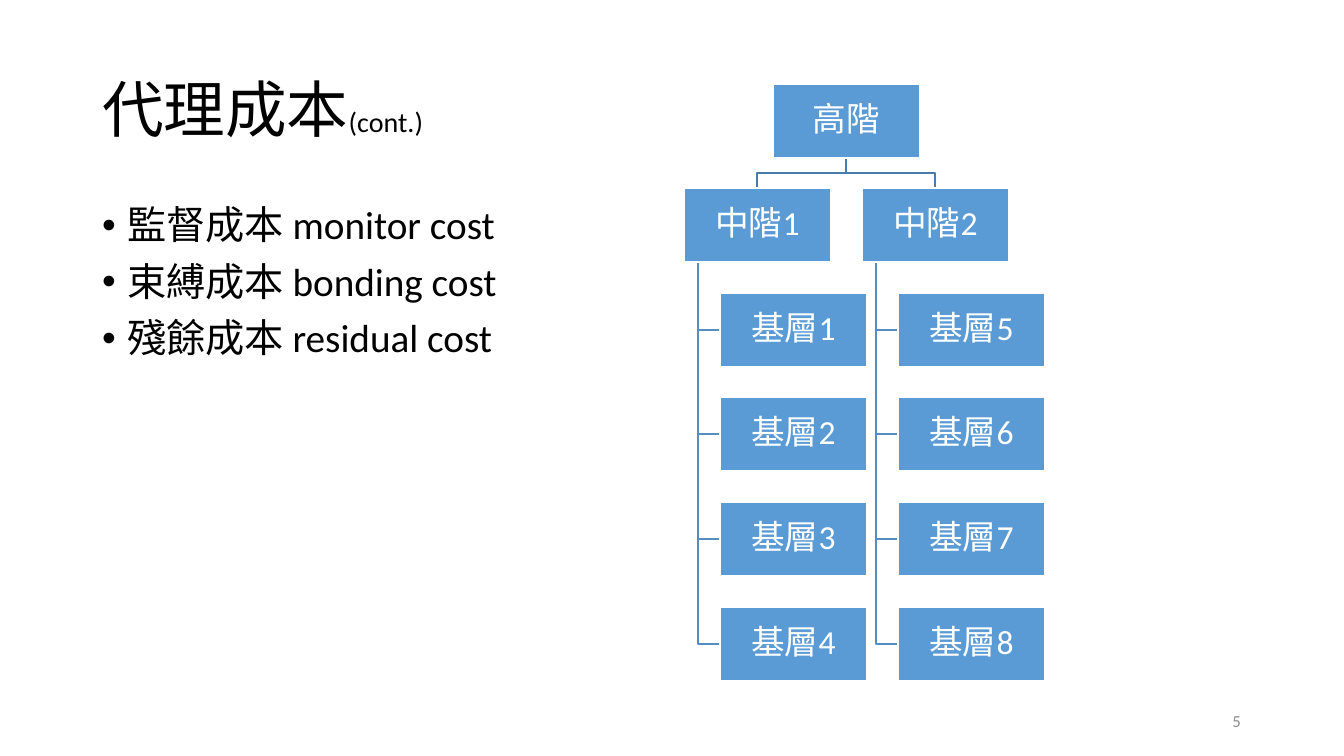
"""Build the agency cost slide with its organisation chart."""
from dataclasses import dataclass

from lxml import etree
from pptx import Presentation
from pptx.dml.color import RGBColor
from pptx.enum.lang import MSO_LANGUAGE_ID
from pptx.enum.shapes import MSO_SHAPE
from pptx.enum.text import MSO_ANCHOR, MSO_AUTO_SIZE, PP_ALIGN
from pptx.oxml.ns import qn
from pptx.slide import Slide
from pptx.text.text import TextFrame
from pptx.util import Emu, Pt

COLORS = {
    "text": "000000",
    "number": "8C8C8C",
    "box": "5B9BD5",
    "white": "FFFFFF",
    "upper_link": "497CAB",
    "lower_link": "538DC1",
}
FONT = "Calibri"
BOX_WIDTH, BOX_HEIGHT = 147, 74
MANAGER_LEFT, BRANCH_PITCH = 684, 178
TRUNK_INDENT, STAFF_INDENT = 14, 36
STAFF_PER_MANAGER = 4


@dataclass(frozen=True)
class Box:
    """A labelled position in the organisation chart."""
    label: str
    left: int
    top: int

    @property
    def center(self) -> int:
        return self.left + BOX_WIDTH // 2

    @property
    def middle(self) -> int:
        return self.top + BOX_HEIGHT // 2

    @property
    def bottom(self) -> int:
        return self.top + BOX_HEIGHT


@dataclass(frozen=True)
class Link:
    """An angled line through the given points."""
    points: tuple[tuple[int, int], ...]
    color: str


def px(length: int) -> Emu:
    """Turn pixels into EMU."""
    return Emu(round(length * 914400 / 100.8))


def rgb(name: str) -> RGBColor:
    """Look up a named colour."""
    return RGBColor.from_string(COLORS[name])


def row_top(row: int) -> int:
    """Return the top of a chart row."""
    return 84 + row * 523 // 5


def write(frame: TextFrame, lines: list[list[tuple[str, int]]], *,
          color: str = "text", align: PP_ALIGN = PP_ALIGN.LEFT,
          anchor: MSO_ANCHOR = MSO_ANCHOR.MIDDLE, spacing: float = 0.9,
          before: int = 0, after: float = 0, bullet: bool = False) -> None:
    """Fill a frame with lines made of (text, size) runs."""
    frame.word_wrap = True
    frame.auto_size = MSO_AUTO_SIZE.NONE
    frame.vertical_anchor = anchor
    for index, line in enumerate(lines):
        paragraph = frame.add_paragraph() if index else frame.paragraphs[0]
        if bullet:
            properties = paragraph._p.get_or_add_pPr()
            properties.set("marL", "228600")
            properties.set("indent", "-228600")
            etree.SubElement(properties, qn("a:buChar")).set("char", "•")
        paragraph.alignment = align
        paragraph.line_spacing = spacing
        paragraph.space_before = Pt(before if index else 0)
        paragraph.space_after = Pt(after)
        for text, size in line:
            run = paragraph.add_run()
            run.text = text
            run.font.name = FONT
            run.font.size = Pt(size)
            run.font.color.rgb = rgb(color)
            run.font.language_id = MSO_LANGUAGE_ID.TRADITIONAL_CHINESE


def draw_link(slide: Slide, link: Link) -> None:
    """Draw an angled line."""
    start, *rest = [(px(x), px(y)) for x, y in link.points]
    builder = slide.shapes.build_freeform(*start)
    builder.add_line_segments(rest, close=False)
    elbow = builder.convert_to_shape()
    elbow.shadow.inherit = False
    elbow.fill.background()
    elbow.line.color.rgb = rgb(link.color)
    elbow.line.width = Pt(1)


def draw_box(slide: Slide, box: Box) -> None:
    """Draw a position with its label."""
    position = slide.shapes.add_shape(
        MSO_SHAPE.RECTANGLE, px(box.left), px(box.top),
        px(BOX_WIDTH), px(BOX_HEIGHT))
    position.shadow.inherit = False
    position.fill.solid()
    position.fill.fore_color.rgb = rgb("box")
    position.line.color.rgb = rgb("white")
    position.line.width = Pt(1)
    frame = position.text_frame
    frame.margin_left = frame.margin_right = px(2)
    frame.margin_top = frame.margin_bottom = px(2)
    write(frame, [[(box.label, 24)]], color="white",
          align=PP_ALIGN.CENTER, after=8.4)


def draw_organisation(slide: Slide) -> None:
    """Lay out and draw the three levels of the organisation."""
    head = Box("高階", MANAGER_LEFT + BRANCH_PITCH // 2, row_top(0))
    boxes, links = [head], []
    for branch in range(2):
        manager = Box(f"中階{branch + 1}",
                      MANAGER_LEFT + branch * BRANCH_PITCH, row_top(1))
        boxes.append(manager)
        bend = (head.bottom + manager.top) // 2
        links.append(Link(((head.center, head.bottom), (head.center, bend),
                           (manager.center, bend),
                           (manager.center, manager.top)), "upper_link"))
        trunk = manager.left + TRUNK_INDENT
        for row in range(STAFF_PER_MANAGER):
            staff = Box(f"基層{branch * STAFF_PER_MANAGER + row + 1}",
                        manager.left + STAFF_INDENT, row_top(row + 2))
            boxes.append(staff)
            links.append(Link(((trunk, manager.bottom), (trunk, staff.middle),
                               (staff.left, staff.middle)), "lower_link"))
    for link in links:
        draw_link(slide, link)
    for box in boxes:
        draw_box(slide, box)


def main() -> None:
    """Build and save the slide."""
    deck = Presentation()
    deck.slide_width, deck.slide_height = px(1344), px(756)
    slide = deck.slides.add_slide(deck.slide_layouts[1])
    title, costs = slide.shapes.title, slide.placeholders[1]
    title.left, title.top, title.width, title.height = map(px, (92, 40, 1159, 146))
    write(title.text_frame, [[("代理成本", 44), ("(cont.)", 20)]])
    costs.left, costs.top, costs.width, costs.height = map(px, (92, 201, 1159, 480))
    write(costs.text_frame,
          [[("監督成本 monitor cost", 28)], [("束縛成本 bonding cost", 28)],
           [("殘餘成本 residual cost", 28)]],
          anchor=MSO_ANCHOR.TOP, before=10, bullet=True)
    page_number = slide.shapes.add_textbox(*map(px, (949, 701, 302, 40)))
    write(page_number.text_frame, [[("5", 12)]], color="number",
          align=PP_ALIGN.RIGHT, spacing=1.0)
    draw_organisation(slide)
    deck.save("out.pptx")


if __name__ == "__main__":
    main()
